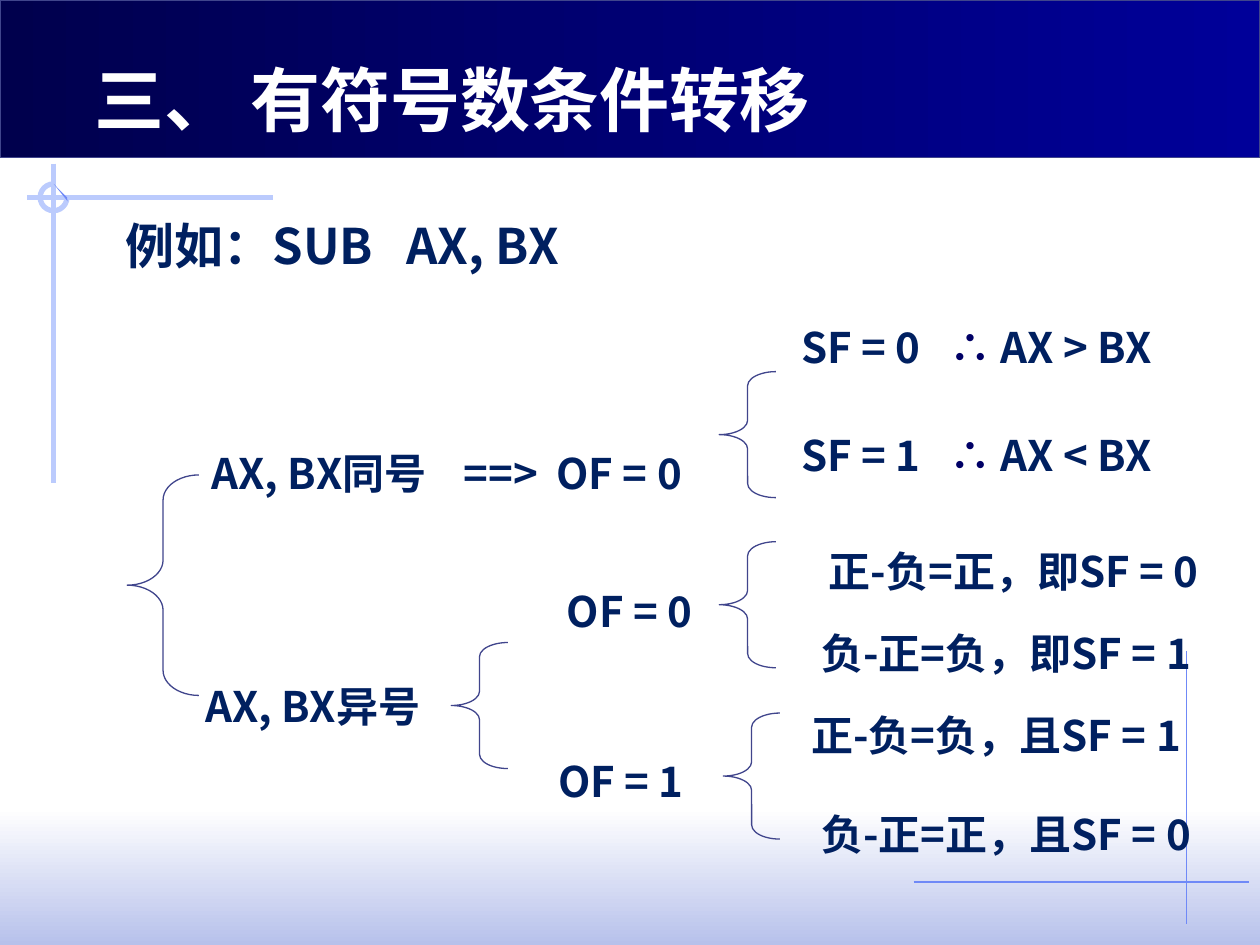
from lxml import etree
from pptx import Presentation
from pptx.dml.color import RGBColor
from pptx.enum.shapes import MSO_CONNECTOR, MSO_SHAPE as SHAPE
from pptx.enum.text import MSO_ANCHOR as ANCHOR, MSO_AUTO_SIZE as AUTO, PP_ALIGN as ALIGN
from pptx.oxml.ns import qn
from pptx.util import Pt

WHITE = RGBColor(0xFF, 0xFF, 0xFF)
INK = RGBColor(0x00, 0x20, 0x60)
THEREFORE = RGBColor(0x00, 0x00, 0x66)
OUTLINE = RGBColor(0x40, 0x45, 0x8C)
BAND_DARK = RGBColor(0x00, 0x00, 0x4D)
BAND_LIGHT = RGBColor(0x00, 0x00, 0x99)
FOOTER = RGBColor(0xB7, 0xC1, 0xEB)
PALE = RGBColor(0xBB, 0xCB, 0xFD)
BLUE = RGBColor(0x6F, 0x89, 0xF7)

TITLE_FONT = "Noto Sans CJK JP"
BODY_FONT = "Noto Sans CJK SC"
W, H = 720, 540


def place(sp, x, y, w, h):
    sp.left, sp.top, sp.width, sp.height = Pt(x), Pt(y), Pt(w), Pt(h)


def add_run(p, text, size, font, color):
    r = p.add_run()
    r.text = text
    r.font.size, r.font.bold, r.font.name = Pt(size), True, font
    r.font.color.rgb = color
    ea = etree.SubElement(r.font._element, qn("a:ea"))
    ea.set("typeface", font)


def write(sp, text, size=24, font=BODY_FONT, color=INK, tabs=()):
    """Fill a shape with one line; the therefore sign has its own colour."""
    tf = sp.text_frame
    tf.word_wrap, tf.auto_size = False, AUTO.NONE
    tf.vertical_anchor = ANCHOR.MIDDLE
    p = tf.paragraphs[0]
    p.alignment = ALIGN.LEFT
    if tabs:
        tab_list = etree.SubElement(p._p.get_or_add_pPr(), qn("a:tabLst"))
        for pos in tabs:
            etree.SubElement(tab_list, qn("a:tab"), pos=str(Pt(pos)), algn="l")
    before, sign, after = text.partition("∴ ")
    for part, c in ((before, color), (sign, THEREFORE), (after, color)):
        if part:
            add_run(p, part, size, font, c)


def label(slide, text, x, y, w, h=36, **fmt):
    sp = slide.shapes.add_textbox(Pt(x), Pt(y), Pt(w), Pt(h))
    write(sp, text, **fmt)


def outline(sp, color, width=0.75):
    sp.line.color.rgb, sp.line.width = color, Pt(width)


def shape(slide, kind, x, y, w, h):
    sp = slide.shapes.add_shape(kind, Pt(x), Pt(y), Pt(w), Pt(h))
    sp.shadow.inherit = False
    return sp


def gradient_band(slide, y, h, start, end, angle):
    sp = shape(slide, SHAPE.RECTANGLE, 0, y, W, h)
    sp.fill.gradient()
    sp.fill.gradient_angle = angle
    for stop, c in zip(sp.fill.gradient_stops, (start, end)):
        stop.color.rgb = c
    sp.line.fill.background()
    return sp


def rule(slide, x1, y1, x2, y2, color, width):
    ln = slide.shapes.add_connector(MSO_CONNECTOR.STRAIGHT, Pt(x1), Pt(y1), Pt(x2), Pt(y2))
    outline(ln, color, width)
    etree.SubElement(ln._element.spPr, qn("a:effectLst"))


def brace(slide, x, y, w=32.4, h=72, curl=0.25):
    sp = shape(slide, SHAPE.LEFT_BRACE, x, y, w, h)
    sp.adjustments[0], sp.adjustments[1] = curl, 0.5
    sp.fill.background()
    outline(sp, OUTLINE)


def ring(slide):
    """Three-quarter ring with a sliver closing its upper right."""
    arc = shape(slide, SHAPE.ARC, 23, 105.1, 15.3, 15.3)
    arc.adjustments[0], arc.adjustments[1] = 0, 162  # right, round to the top
    arc.fill.background()
    outline(arc, PALE, 3)
    fb = slide.shapes.build_freeform(Pt(30.7), Pt(105.1))
    fb.add_line_segments([(Pt(38.3), Pt(112.8)), (Pt(38.6), Pt(115))], close=True)
    sliver = fb.convert_to_shape()
    sliver.shadow.inherit = False
    sliver.fill.solid()
    sliver.fill.fore_color.rgb = BLUE
    sliver.line.fill.background()


def backdrop(slide):
    gradient_band(slide, 462, H - 462, WHITE, FOOTER, 270)
    rule(slide, 678, 372, 678, 528, BLUE, 0.75)
    rule(slide, 156, 113, 15.5, 113, PALE, 3)
    rule(slide, 30.7, 93.5, 30.7, 276, PALE, 3)
    ring(slide)
    outline(gradient_band(slide, 0, 90, BAND_DARK, BAND_LIGHT, 0), OUTLINE)
    rule(slide, 522, 504, 714, 504, BLUE, 0.75)


def main():
    prs = Presentation()
    prs.slide_width, prs.slide_height = Pt(W), Pt(H)
    slide = prs.slides.add_slide(prs.slide_layouts[5])
    backdrop(slide)

    # Title, brought in front of its band
    title = slide.shapes.title
    place(title, 46.8, 28.8, 424, 55.4)
    write(title, "三、 有符号数条件转移", size=40, font=TITLE_FONT, color=WHITE)
    slide.shapes._spTree.append(title._element)

    label(slide, "例如：SUB\tAX, BX", 64.8, 119.5, 520, 41, size=28, tabs=[160.5])

    # Same or different signs
    brace(slide, 72.7, 271.4, 41, 126, curl=0.35)
    label(slide, "AX, BX同号\t==>\tOF = 0", 113.8, 252, 397, tabs=[144, 197])
    label(slide, "AX, BX异号", 110.2, 385.2, 184)

    # Overflow flag when the signs differ
    brace(slide, 257.8, 367.2)
    label(slide, "OF = 0", 316.8, 331.2, 96.5)
    label(slide, "OF = 1", 311.8, 428.4, 96.5)

    # Outcomes
    for x, y in ((411, 212.4), (411, 309.6), (413.3, 407.5)):
        brace(slide, x, y)
    for text, y in (("SF = 0\t∴ AX > BX", 180), ("SF = 1\t∴ AX < BX", 242)):
        label(slide, text, 450.7, y, 242, tabs=[84.5])
    for text, x, y in (
        ("正-负=正，即SF = 0", 466.6, 308.2),
        ("负-正=负，即SF = 1", 462.2, 355),
        ("正-负=负，且SF = 1", 456.5, 401.8),
        ("负-正=正，且SF = 0", 462.2, 458.6),
    ):
        label(slide, text, x, y, W - x)

    prs.save("out.pptx")


if __name__ == "__main__":
    main()
